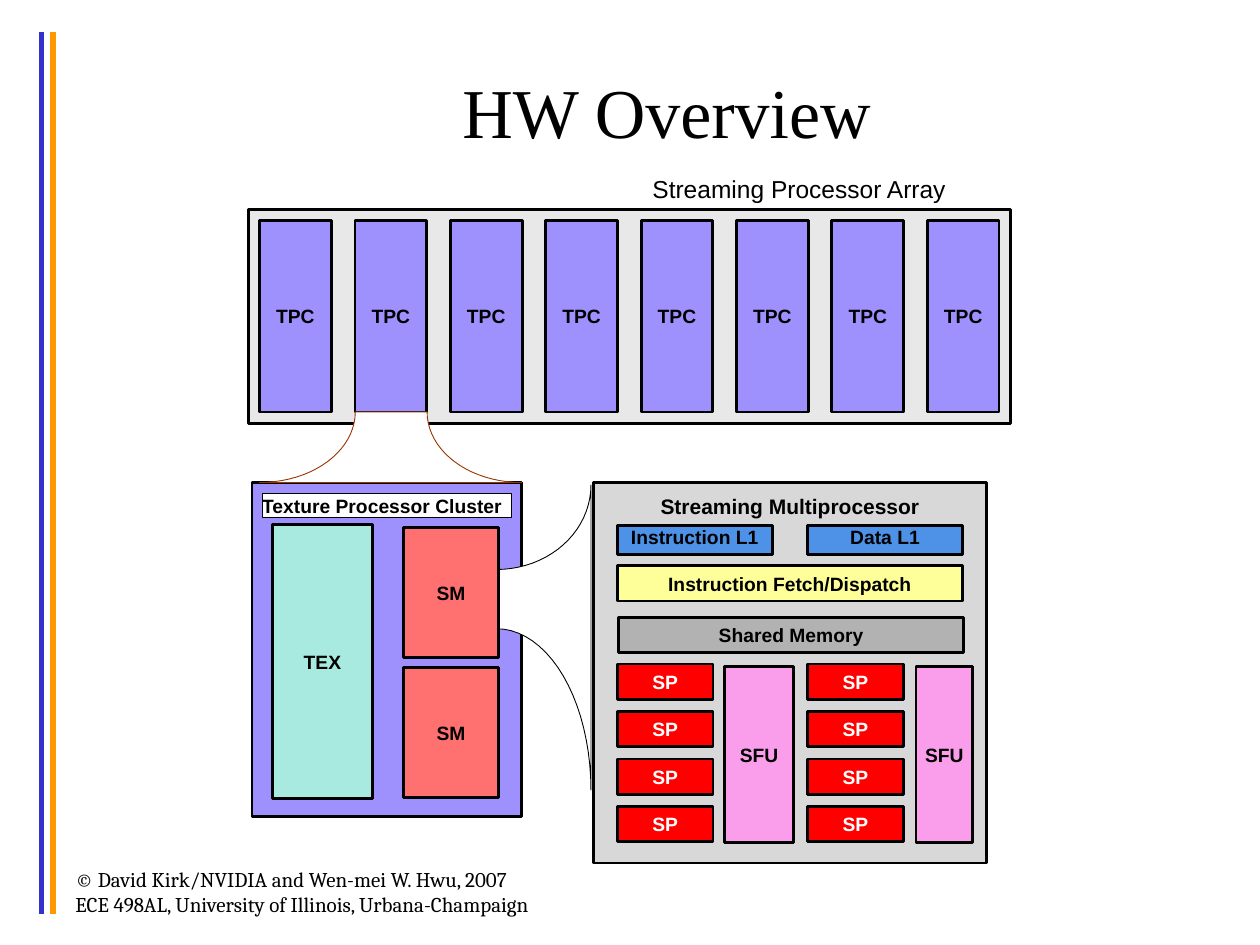
from math import cos, pi, sin
from lxml.etree import SubElement
from pptx import Presentation
from pptx.dml.color import RGBColor
from pptx.enum.shapes import MSO_CONNECTOR, MSO_SHAPE
from pptx.enum.text import MSO_ANCHOR, PP_ALIGN
from pptx.oxml.ns import qn
from pptx.util import Inches, Pt

BLACK = RGBColor(0x00, 0x00, 0x00)
WHITE = RGBColor(0xFF, 0xFF, 0xFF)
BLUE_BAR = RGBColor(0x33, 0x33, 0xCC)
ORANGE_BAR = RGBColor(0xFF, 0x99, 0x00)
VIOLET = RGBColor(0x9E, 0x91, 0xFD)
PALE_GRAY = RGBColor(0xE8, 0xE8, 0xE8)
LIGHT_GRAY = RGBColor(0xD8, 0xD8, 0xD8)
MID_GRAY = RGBColor(0xB2, 0xB2, 0xB2)
AQUA = RGBColor(0xA8, 0xEA, 0xE0)
CORAL = RGBColor(0xFF, 0x71, 0x71)
RED = RGBColor(0xFF, 0x00, 0x00)
PINK = RGBColor(0xFA, 0x9E, 0xEC)
YELLOW = RGBColor(0xFF, 0xFF, 0x99)
BLUE = RGBColor(0x4D, 0x92, 0xE6)
BROWN = RGBColor(0x99, 0x33, 0x00)

prs = Presentation()
prs.slide_width, prs.slide_height = Inches(10), Inches(7.5)
slide = prs.slides.add_slide(prs.slide_layouts[6])
shapes = slide.shapes


def add_block(label, left, top, width, height, fill, color=BLACK, size=11,
              line=1.62, anchor=MSO_ANCHOR.MIDDLE, align=PP_ALIGN.CENTER, inset=0):
    block = shapes.add_shape(MSO_SHAPE.RECTANGLE, Inches(left), Inches(top),
                             Inches(width), Inches(height))
    block.shadow.inherit = False
    block.fill.solid()
    block.fill.fore_color.rgb = fill
    block.line.color.rgb = BLACK
    block.line.width = Pt(line)
    if label:
        frame = block.text_frame
        settings = {"margin_left": 0, "margin_right": 0, "margin_bottom": 0,
                    "margin_top": Inches(inset), "word_wrap": False,
                    "vertical_anchor": anchor}
        for name, value in settings.items():
            setattr(frame, name, value)
        paragraph = frame.paragraphs[0]
        paragraph.text = label
        paragraph.alignment = align
        for name, value in {"name": "Arial", "size": Pt(size), "bold": True}.items():
            setattr(paragraph.font, name, value)
        paragraph.font.color.rgb = color


def add_funnel(arcs, line_color):
    """Outline of two quarter ellipses, each (centre x, centre y, rx, ry, start, end)."""
    points = []
    for cx, cy, rx, ry, start, end in arcs:
        for step in range(21):
            angle = start + (end - start) * step / 20
            points.append((Inches(cx + rx * cos(angle)), Inches(cy + ry * sin(angle))))
    builder = shapes.build_freeform(*points[0])
    builder.add_line_segments(points[1:], close=True)
    funnel = builder.convert_to_shape()
    funnel.shadow.inherit = False
    funnel.fill.solid()
    funnel.fill.fore_color.rgb = WHITE
    funnel.line.color.rgb = line_color
    funnel.line.width = Pt(0.5)


# Side bars
for x, color in ((0.33, BLUE_BAR), (0.42, ORANGE_BAR)):
    bar = shapes.add_connector(MSO_CONNECTOR.STRAIGHT, Inches(x), Inches(0.25),
                               Inches(x), Inches(7.25))
    bar.line.color.rgb = color
    bar.line.width = Pt(3)
    SubElement(bar._element.spPr, qn("a:effectLst"))

# Title, array caption and footer
texts = [
    (["HW Overview"], 0.75, 0.25, 9.08, 1.25, "Times New Roman", 40,
     PP_ALIGN.CENTER, MSO_ANCHOR.MIDDLE),
    (["Streaming Processor Array"], 5.08, 1.33, 2.54, 0.34, "Arial", 14,
     PP_ALIGN.LEFT, MSO_ANCHOR.TOP),
    (["© David Kirk/NVIDIA and Wen-mei W. Hwu, 2007",
      "ECE 498AL, University of Illinois, Urbana-Champaign"],
     0.5, 6.83, 4.33, 0.5, "Cambria", 12, PP_ALIGN.LEFT, MSO_ANCHOR.TOP),
]
for lines, left, top, width, height, font, size, align, anchor in texts:
    frame = shapes.add_textbox(Inches(left), Inches(top),
                               Inches(width), Inches(height)).text_frame
    frame.word_wrap = True
    frame.vertical_anchor = anchor
    frame.text = "\n".join(lines)
    for paragraph in frame.paragraphs:
        paragraph.alignment = align
        paragraph.font.name = font
        paragraph.font.size = Pt(size)
        paragraph.font.color.rgb = BLACK

# Cluster panel, with the funnel from one SM to the multiprocessor
add_block("", 2, 3.83, 2.14, 2.65, VIOLET)
add_funnel([(3.94, 3.85, 0.75, 0.67, 0, pi / 2),
            (3.94, 6.27, 0.75, -1.28, pi / 2, 0)], BLACK)

# Processor array: eight TPCs
add_block("", 1.97, 1.66, 6.05, 1.7, PALE_GRAY)
for column in range(8):
    add_block("TPC", 2.06 + column * 5.3 / 7, 1.75, 0.57, 1.52, VIOLET)

# Funnel from the second TPC to the cluster
add_funnel([(4.14, 3.27, -0.75, 0.56, pi / 2, 0),
            (2.06, 3.27, 0.76, 0.56, 0, pi / 2)], BROWN)

# Texture processor cluster
add_block("Texture Processor Cluster", 2.08, 3.92, 1.98, 0.19, WHITE,
          line=0.5, align=PP_ALIGN.LEFT)
add_block("TEX", 2.16, 4.16, 0.8, 2.18, AQUA)
for top in (4.19, 5.3):
    add_block("SM", 3.2, top, 0.76, 1.03, CORAL)

# Streaming multiprocessor
add_block("Streaming Multiprocessor", 4.71, 3.83, 3.12, 3.02, LIGHT_GRAY,
          size=12, anchor=MSO_ANCHOR.TOP, inset=0.09)
for label, left in (("Instruction L1", 4.9), ("Data L1", 6.41)):
    add_block(label, left, 4.17, 1.23, 0.23, BLUE, anchor=MSO_ANCHOR.TOP)
add_block("Instruction Fetch/Dispatch", 4.9, 4.49, 2.74, 0.28, YELLOW)
add_block("Shared Memory", 4.91, 4.9, 2.74, 0.28, MID_GRAY)
for sp_left, sfu_left, sfu_width in ((4.9, 5.75, 0.55), (6.41, 7.27, 0.45)):
    for row in range(4):
        add_block("SP", sp_left, 5.27 + row * 1.13 / 3, 0.76, 0.28, RED, color=WHITE)
    add_block("SFU", sfu_left, 5.29, sfu_width, 1.4, PINK)

prs.save("out.pptx")
